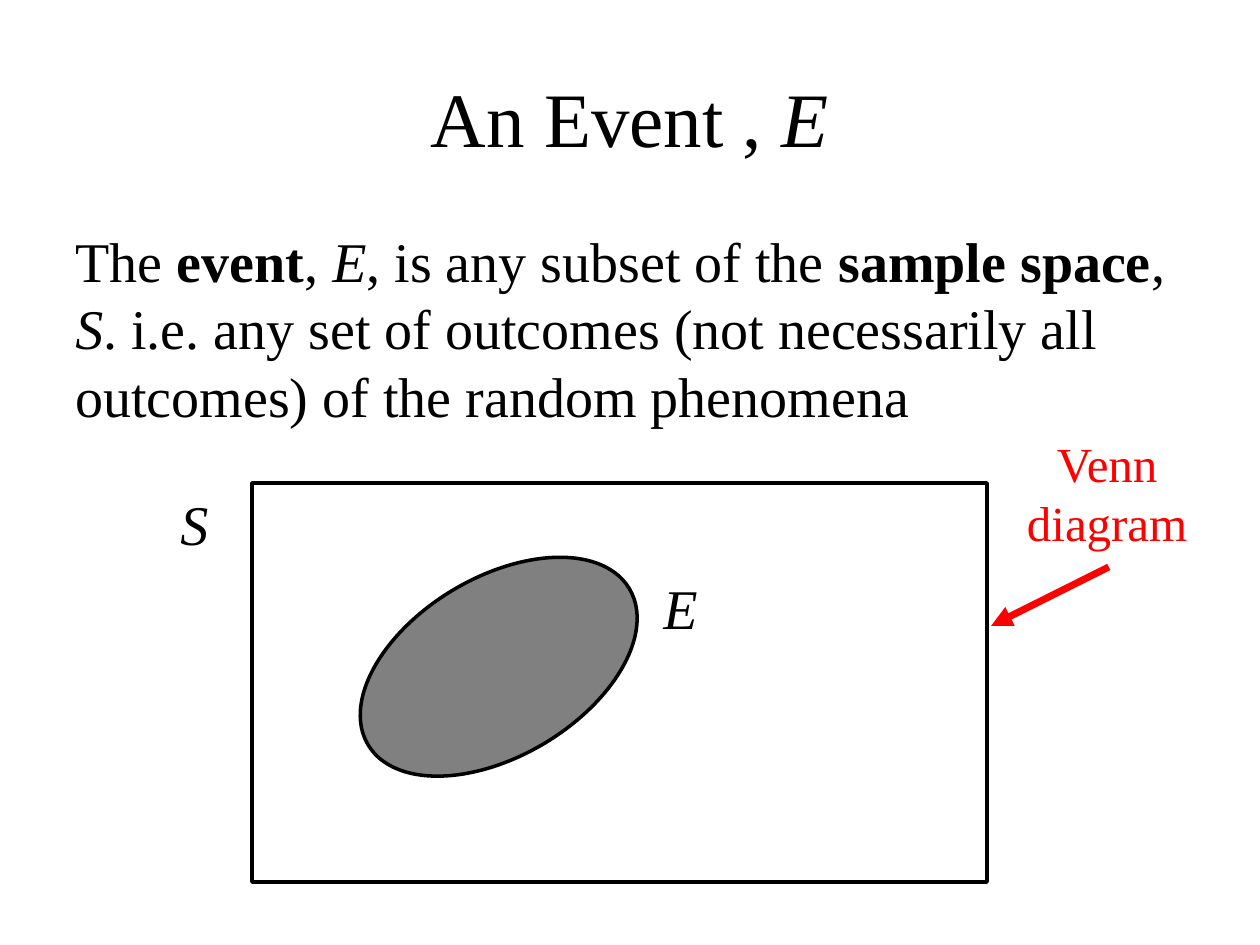
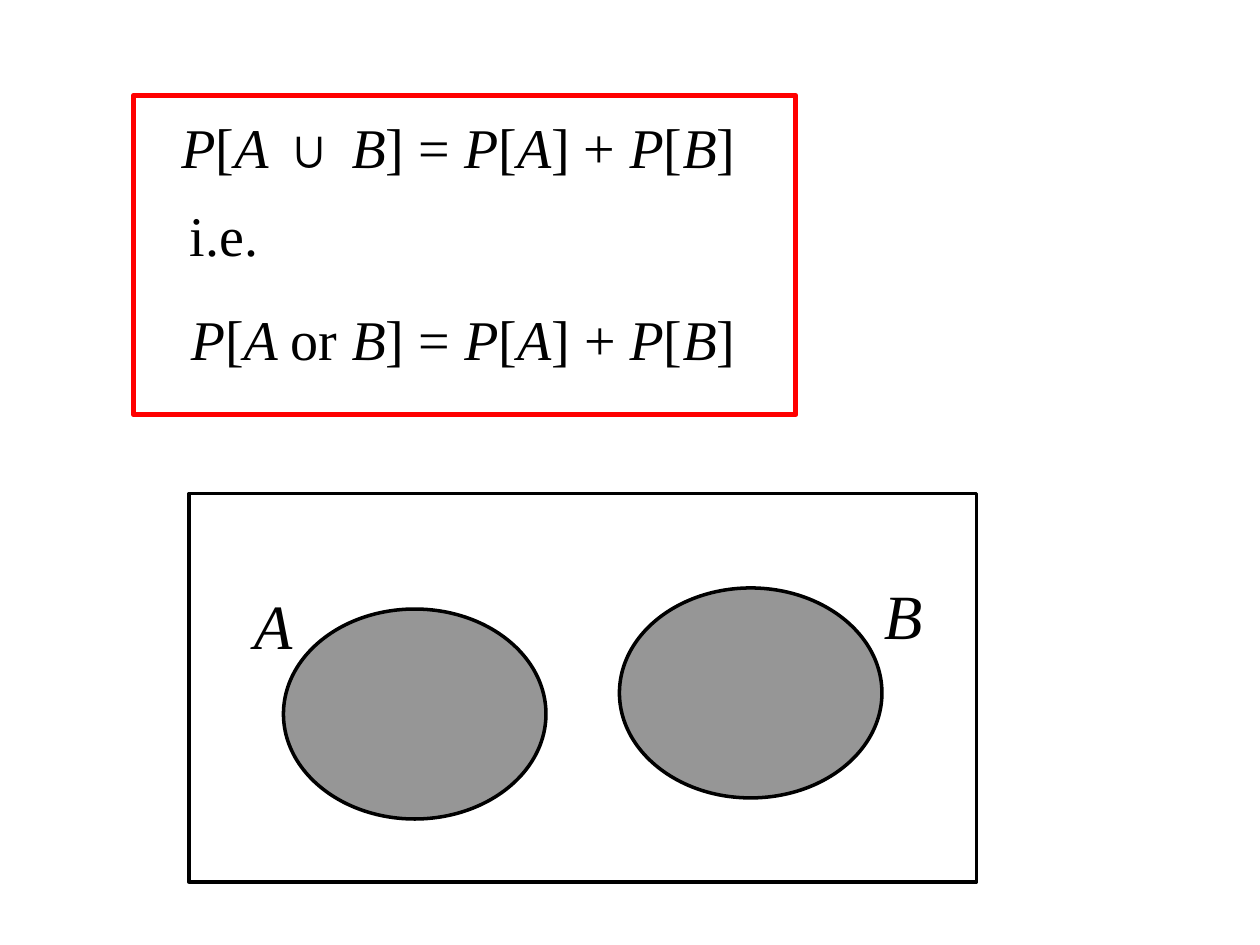
from lxml import etree
from pptx import Presentation
from pptx import util as u
from pptx.dml.color import RGBColor
from pptx.enum import shapes, text
from pptx.oxml.ns import qn

FONT = "Times New Roman"
BLACK = RGBColor(0x00, 0x00, 0x00)
RED = RGBColor(0xFF, 0x00, 0x00)
EVENT_GRAY = RGBColor(0x80, 0x80, 0x80)
SET_GRAY = RGBColor(0x96, 0x96, 0x96)
CENTER, LEFT = text.PP_ALIGN.CENTER, text.PP_ALIGN.LEFT
MIDDLE, TOP = text.MSO_ANCHOR.MIDDLE, text.MSO_ANCHOR.TOP
RECT, OVAL = shapes.MSO_SHAPE.RECTANGLE, shapes.MSO_SHAPE.OVAL

# The slide is a grid of 120 columns by 90 rows; places are (column, row, columns, rows).
COLUMNS, ROWS = 120, 90
CELL = u.Inches(10) / COLUMNS

# In wording, _x_ is italic and *x* is bold.
TITLE = ("An Event , _E_", (6, 3.6, 108, 15))
DEFINITION = (
    "The *event*, _E_, is any subset of the *sample space*, _S_. i.e. any set of "
    "outcomes (not necessarily all outcomes) of the random phenomena",
    (6, 21, 108, 21),
)
SAMPLE_SPACE = (24, 46, 70, 38)
EVENT = (33, 55, 29, 17)
EVENT_TURN = 329.1
EVENT_LABELS = [("_S_", (16, 46, 11, 7)), ("_E_", (62, 54, 11, 7))]
CALLOUT = ("Venn diagram", (95.6, 40.7, 19.7, 12.4))
ARROW = ((105.6, 54), (94.4, 59.6))

RULE_FRAME = (12.7, 9.1, 63.1, 30.4)
RULE_SIZE = (86.2, 8.6)
RULE_LINES = [
    ("_P_[_A _∪ _B_] = _P_[_A_] + _P_[_B_]", (16.1, 10.1)),
    ("i.e.", (16.9, 18.5)),
    ("_P_[_A _or _B_] = _P_[_A_] + _P_[_B_]", (17, 28.4)),
]
UNION_SPACE = (18, 47, 75, 37)
SET_SIZE = (25, 20)
SETS = [  # label, label corner, oval corner
    ("_A_", (23, 54), (27, 58)),
    ("_B_", (83, 53), (59, 56)),
]
SET_LABEL_SIZE = (13, 11)


def cells(numbers):
    return [round(number * CELL) for number in numbers]


def add_spans(para, wording):
    """Split the marked wording into plain, italic and bold runs."""
    italic = bold = False
    pending = ""
    for mark in wording + "\0":
        if mark not in "_*\0":
            pending += mark
            continue
        if pending:
            span = para.add_run()
            span.text = pending
            span.font.italic, span.font.bold = italic, bold
            pending = ""
        italic ^= mark == "_"
        bold ^= mark == "*"


def add_text(page, wording, place, size=32, color=BLACK, align=LEFT, anchor=TOP):
    frame = page.shapes.add_textbox(*cells(place)).text_frame
    frame.word_wrap = True
    frame.vertical_anchor = anchor
    para = frame.paragraphs[0]
    para.alignment = align
    para.font.name, para.font.size = FONT, u.Pt(size)
    para.font.color.rgb = color
    add_spans(para, wording)


def add_outline(page, kind, place, fill=None, color=BLACK, weight=2):
    shape = page.shapes.add_shape(kind, *cells(place))
    shape.shadow.inherit = False
    if fill is None:
        shape.fill.background()
    else:
        shape.fill.solid()
        shape.fill.fore_color.rgb = fill
    shape.line.color.rgb = color
    shape.line.width = u.Pt(weight)
    return shape


def add_arrow(page, start, end, color, weight):
    arrow = page.shapes.add_connector(
        shapes.MSO_CONNECTOR.STRAIGHT, *cells(start), *cells(end))
    arrow.line.color.rgb = color
    arrow.line.width = u.Pt(weight)
    properties = arrow.line._get_or_add_ln()
    etree.SubElement(properties, qn("a:tailEnd"), type="triangle")
    etree.SubElement(arrow._element.spPr, qn("a:effectLst"))


def build_event_page(page):
    add_text(page, *TITLE, size=44, align=CENTER, anchor=MIDDLE)
    add_text(page, *DEFINITION)
    add_outline(page, RECT, SAMPLE_SPACE)
    add_outline(page, OVAL, EVENT, EVENT_GRAY).rotation = EVENT_TURN
    for label, place in EVENT_LABELS:
        add_text(page, label, place)
    add_text(page, *CALLOUT, size=28, color=RED, align=CENTER)
    add_arrow(page, *ARROW, RED, 4)


def build_addition_rule_page(page):
    add_outline(page, RECT, UNION_SPACE)
    for label, label_corner, oval_corner in SETS:
        add_outline(page, OVAL, oval_corner + SET_SIZE, SET_GRAY)
        add_text(page, label, label_corner + SET_LABEL_SIZE, size=36, anchor=MIDDLE)
    for wording, corner in RULE_LINES:
        add_text(page, wording, corner + RULE_SIZE)
    add_outline(page, RECT, RULE_FRAME, color=RED, weight=3)


def main():
    deck = Presentation()
    deck.slide_width, deck.slide_height = cells((COLUMNS, ROWS))
    blank = deck.slide_layouts[6]
    for build in (build_event_page, build_addition_rule_page):
        build(deck.slides.add_slide(blank))
    deck.save("out.pptx")


if __name__ == "__main__":
    main()
